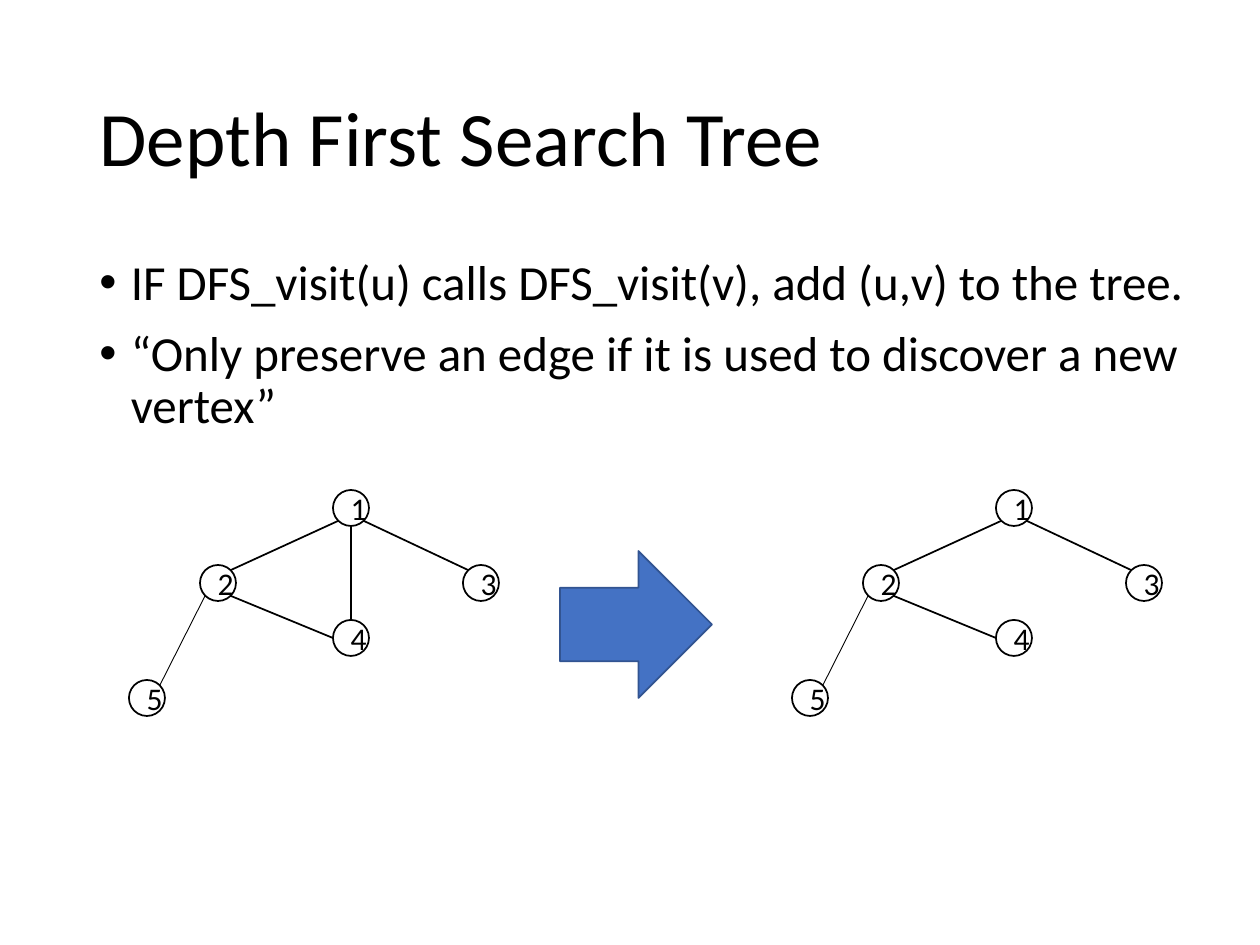
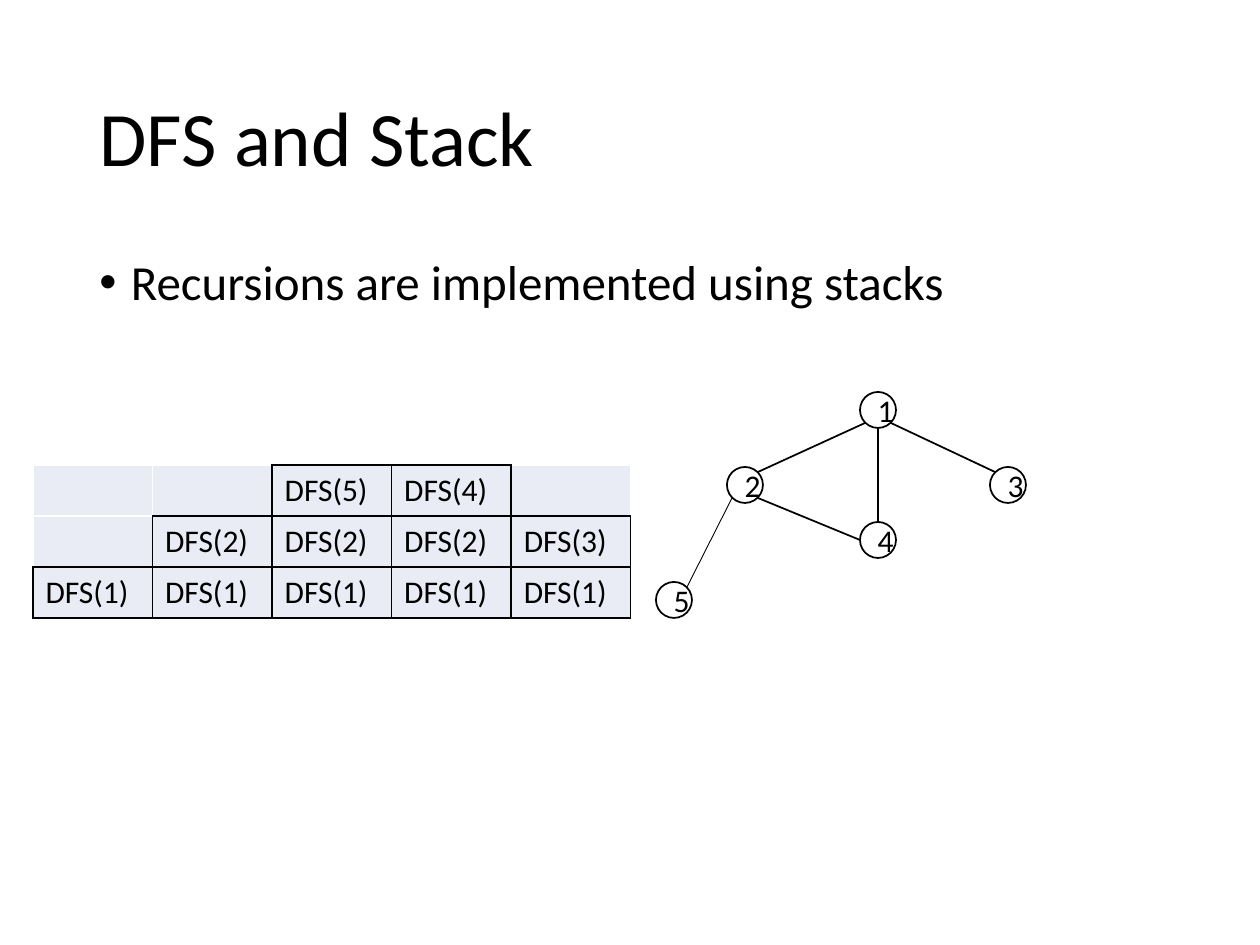
import pptx
import pptx.dml.color
import pptx.enum.shapes
import pptx.enum.text
import pptx.oxml.ns
import pptx.util
from lxml import etree

RGBColor = pptx.dml.color.RGBColor
MSO_SHAPE = pptx.enum.shapes.MSO_SHAPE
qn = pptx.oxml.ns.qn

BLACK = RGBColor(0x00, 0x00, 0x00)
WHITE = RGBColor(0xFF, 0xFF, 0xFF)
BLUE = RGBColor(0x44, 0x72, 0xC4)
DARK_BLUE = RGBColor(0x32, 0x54, 0x91)
CELL_FILL = RGBColor(0xE9, 0xEB, 0xF5)
FONT = "Calibri"

RADIUS = 18
DIAGONAL = 13  # offset of a point at 45 degrees on a node's outline
# Node centres, relative to the root
NODES = {"1": (0, 0), "2": (-133, 75), "3": (130, 75), "4": (0, 130), "5": (-204, 190)}
SITES = {
    "top": (0, -RADIUS), "bottom": (0, RADIUS), "left": (-RADIUS, 0),
    "top left": (-DIAGONAL, -DIAGONAL), "top right": (DIAGONAL, -DIAGONAL),
    "bottom left": (-DIAGONAL, DIAGONAL), "bottom right": (DIAGONAL, DIAGONAL),
}
# Start node and site, end node and site, line width
TREE_EDGES = [
    ("2", "top right", "1", "bottom left", 1),
    ("1", "bottom right", "3", "top left", 1),
    ("4", "left", "2", "bottom right", 1),
    ("2", "bottom left", "5", "top right", 0.5),
]
GRAPH_EDGES = TREE_EDGES + [("1", "bottom", "4", "top", 1)]


def px(n):
    """Turn pixels into EMU."""
    return pptx.util.Emu(round(n * 914400 / 126))


class Deck:
    """Holds the shared style and the current slide."""

    def __init__(self):
        """Start an empty 10 by 7.5 inch presentation."""
        self.prs = pptx.Presentation()
        self.prs.slide_width = px(1260)
        self.prs.slide_height = px(945)
        self.s = None

    def style(self, p, size):
        """Give every run of a paragraph the deck's font."""
        for r in p.runs:
            r.font.name = FONT
            r.font.size = pptx.util.Pt(size)
            r.font.color.rgb = BLACK

    def slide(self, title):
        """Add a slide with a left-aligned title."""
        self.s = self.prs.slides.add_slide(self.prs.slide_layouts[5])
        sp = self.s.shapes.title
        sp.left, sp.top, sp.width, sp.height = px(87), px(50), px(1086), px(183)
        tf = sp.text_frame
        tf.text = title
        tf.vertical_anchor = pptx.enum.text.MSO_ANCHOR.MIDDLE
        p = tf.paragraphs[0]
        p.alignment = pptx.enum.text.PP_ALIGN.LEFT
        p.line_spacing = 0.9
        self.style(p, 44)

    def bullets(self, items, width=1086):
        """Add the bulleted body text."""
        tf = self.s.shapes.add_textbox(px(87), px(252), px(width), px(600)).text_frame
        tf.word_wrap = True
        tf.text = "\n".join(items)
        for p in tf.paragraphs:
            p.line_spacing = 0.9
            p.space_before = pptx.util.Pt(10)
            self.style(p, 28)
            pPr = p._p.get_or_add_pPr()
            indent = pptx.util.Inches(0.25)
            pPr.set("marL", str(indent))
            pPr.set("indent", str(-indent))
            etree.SubElement(pPr, qn("a:buFont"), typeface="Arial")
            etree.SubElement(pPr, qn("a:buChar"), char="\u2022")

    def shape(self, kind, x, y, w, h, fill, line):
        """Add a flat preset shape."""
        sp = self.s.shapes.add_shape(kind, px(x), px(y), px(w), px(h))
        sp.shadow.inherit = False
        sp.fill.solid()
        sp.fill.fore_color.rgb = fill
        sp.line.color.rgb = line
        sp.line.width = pptx.util.Pt(1)
        return sp

    def node(self, label, x, y):
        """Add a numbered circle centred on a point."""
        sp = self.shape(MSO_SHAPE.OVAL, x - RADIUS, y - RADIUS,
                        2 * RADIUS, 2 * RADIUS, WHITE, BLACK)
        p = sp.text_frame.paragraphs[0]
        p.text = label
        p.alignment = pptx.enum.text.PP_ALIGN.CENTER
        self.style(p, 18)

    def line(self, x1, y1, x2, y2, width):
        """Add a straight black line."""
        c = self.s.shapes.add_connector(pptx.enum.shapes.MSO_CONNECTOR.STRAIGHT,
                                        px(x1), px(y1), px(x2), px(y2))
        c.line.color.rgb = BLACK
        c.line.width = pptx.util.Pt(width)
        etree.SubElement(c._element.spPr, qn("a:effectLst"))

    def graph(self, x, y, edges):
        """Draw the nodes and the given edges, with the root at a point."""
        for label, (dx, dy) in NODES.items():
            self.node(label, x + dx, y + dy)
        for start, start_site, end, end_site, width in edges:
            (ax, ay), (bx, by) = NODES[start], NODES[end]
            (sx, sy), (ex, ey) = SITES[start_site], SITES[end_site]
            self.line(x + ax + sx, y + ay + sy, x + bx + ex, y + by + ey, width)

    def border(self, cell, side, color):
        """Draw one side of a table cell."""
        ln = etree.SubElement(cell._tc.get_or_add_tcPr(), qn("a:ln" + side), w="12700")
        fill = etree.SubElement(ln, qn("a:solidFill"))
        etree.SubElement(fill, qn("a:srgbClr"), val=str(color))

    def stack_table(self, rows, x, y, w, h):
        """Add a table whose filled cells are outlined in black."""
        n_rows, n_cols = len(rows), len(rows[0])
        table = self.s.shapes.add_table(n_rows, n_cols, px(x), px(y), px(w), px(h)).table
        table.first_row = table.horz_banding = False
        filled = {(i, j) for i, row in enumerate(rows) for j, text in enumerate(row) if text}
        for i, row in enumerate(rows):
            for j, text in enumerate(row):
                cell = table.cell(i, j)
                cell.text = text
                self.style(cell.text_frame.paragraphs[0], 18)
                neighbours = {"L": (i, j - 1), "R": (i, j + 1),
                              "T": (i - 1, j), "B": (i + 1, j)}
                for side, neighbour in neighbours.items():
                    outlined = filled & {(i, j), neighbour}
                    self.border(cell, side, BLACK if outlined else WHITE)
                cell.fill.solid()
                cell.fill.fore_color.rgb = CELL_FILL


deck = Deck()

deck.slide("Depth First Search Tree")
deck.bullets([
    "IF DFS_visit(u) calls DFS_visit(v), add (u,v) to the tree.",
    "\u201cOnly preserve an edge if it is used to discover a new vertex\u201d",
], width=1124)
deck.graph(351, 508, GRAPH_EDGES)
deck.shape(MSO_SHAPE.RIGHT_ARROW, 560, 551, 152, 147, BLUE, DARK_BLUE)
deck.graph(1014, 508, TREE_EDGES)

deck.slide("DFS and Stack")
deck.bullets(["Recursions are implemented using stacks"])
deck.graph(878, 410, GRAPH_EDGES)
deck.stack_table([
    ["", "", "DFS(5)", "DFS(4)", ""],
    ["", "DFS(2)", "DFS(2)", "DFS(2)", "DFS(3)"],
    ["DFS(1)"] * 5,
], 33, 465, 598, 153)

deck.prs.save("out.pptx")
